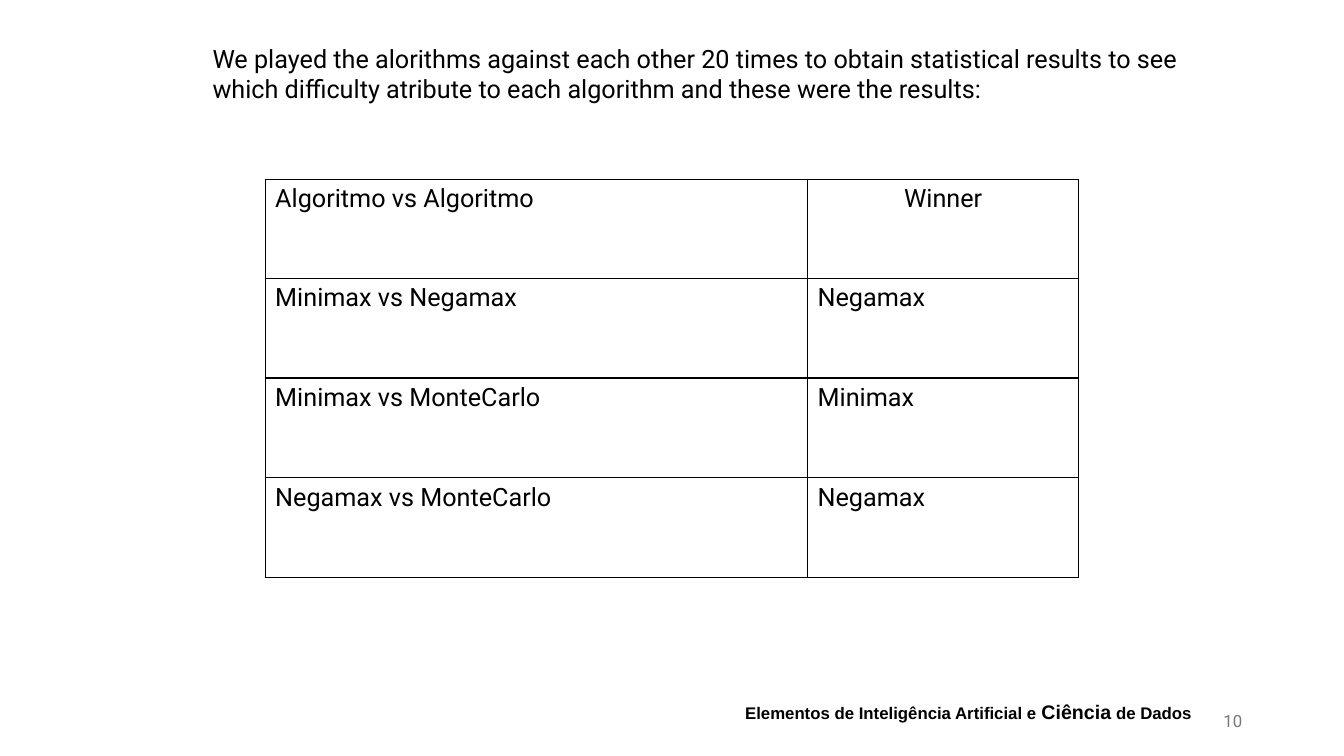
from dataclasses import dataclass

from lxml import etree
from pptx import Presentation
from pptx.dml.color import RGBColor
from pptx.enum.text import MSO_ANCHOR, PP_ALIGN
from pptx.oxml.ns import qn
from pptx.util import Inches, Pt

BLACK = RGBColor(0x00, 0x00, 0x00)
GRAY = RGBColor(0x79, 0x79, 0x79)
LEFT, CENTER, RIGHT = PP_ALIGN.LEFT, PP_ALIGN.CENTER, PP_ALIGN.RIGHT
TOP, MIDDLE = MSO_ANCHOR.TOP, MSO_ANCHOR.MIDDLE

BODY = {"name": "Roboto", "size": Pt(18)}
FOOTER = {"name": "Arial", "size": Pt(12), "bold": True}
FOOTER_LARGE = {**FOOTER, "size": Pt(14)}
NUMBER = {"name": "Roboto", "size": Pt(12)}


@dataclass
class Run:
    text: str
    font: dict
    color: RGBColor = BLACK


@dataclass
class TextBox:
    left: float
    top: float
    width: float
    height: float
    runs: list[Run]
    align: PP_ALIGN = LEFT
    anchor: MSO_ANCHOR = TOP
    margin_bottom: float = 0.05


TEXT_BOXES = [
    TextBox(6.89, 6.86, 5.43, 0.59, [
        Run("Elementos de Inteligência Artificial e ", FOOTER),
        Run("Ciência", FOOTER_LARGE),
        Run(" de Dados", FOOTER),
    ], CENTER, MIDDLE, 0.24),
    TextBox(9.42, 6.95, 3, 0.4, [Run("10", NUMBER, GRAY)], RIGHT, MIDDLE),
    TextBox(2.01, 0.38, 9.77, 0.71, [
        Run("We played the alorithms against each other 20 times to obtain "
            "statistical results to see which difficulty atribute to each "
            "algorithm and these were the results:", BODY),
    ]),
]

RESULTS = [
    ("Algoritmo vs Algoritmo", "Winner"),
    ("Minimax vs Negamax", "Negamax"),
    ("Minimax vs MonteCarlo", "Minimax"),
    ("Negamax vs MonteCarlo", "Negamax"),
]
COLUMN_WIDTHS = (5.38, 2.69)
ROW_HEIGHTS = (0.98, 0.99, 0.99, 0.99)


def fill_paragraph(p, runs: list[Run], align: PP_ALIGN) -> None:
    p.alignment = align
    for run in runs:
        r = p.add_run()
        r.text = run.text
        for key, value in run.font.items():
            setattr(r.font, key, value)
        r.font.color.rgb = run.color


def add_text(s, box: TextBox) -> None:
    sp = s.shapes.add_textbox(Inches(box.left), Inches(box.top),
                              Inches(box.width), Inches(box.height))
    tf = sp.text_frame
    layout = {"word_wrap": True, "vertical_anchor": box.anchor,
              "margin_bottom": Inches(box.margin_bottom)}
    for key, value in layout.items():
        setattr(tf, key, value)
    fill_paragraph(tf.paragraphs[0], box.runs, box.align)


def add_borders(cell) -> None:
    tc_pr = cell._tc.get_or_add_tcPr()
    for i, side in enumerate(("a:lnL", "a:lnR", "a:lnT", "a:lnB")):
        ln = etree.Element(qn(side), w=str(Pt(1)))
        fill = etree.SubElement(ln, qn("a:solidFill"))
        etree.SubElement(fill, qn("a:srgbClr"), val=str(BLACK))
        tc_pr.insert(i, ln)


def add_results(s) -> None:
    table = s.shapes.add_table(
        len(ROW_HEIGHTS), len(COLUMN_WIDTHS), Inches(2.63), Inches(1.78),
        Inches(sum(COLUMN_WIDTHS)), Inches(sum(ROW_HEIGHTS))).table
    table.first_row = table.horz_banding = False
    for column, width in zip(table.columns, COLUMN_WIDTHS):
        column.width = Inches(width)
    for i, (row, height) in enumerate(zip(table.rows, ROW_HEIGHTS)):
        row.height = Inches(height)
        for cell, text in zip(row.cells, RESULTS[i]):
            align = CENTER if text == "Winner" else LEFT
            fill_paragraph(cell.text_frame.paragraphs[0], [Run(text, BODY)], align)
            cell.fill.background()
            add_borders(cell)


def main() -> None:
    prs = Presentation()
    prs.slide_width, prs.slide_height = Inches(13.33), Inches(7.5)
    s = prs.slides.add_slide(prs.slide_layouts[6])
    add_results(s)
    for box in TEXT_BOXES:
        add_text(s, box)
    prs.save("out.pptx")


if __name__ == "__main__":
    main()
